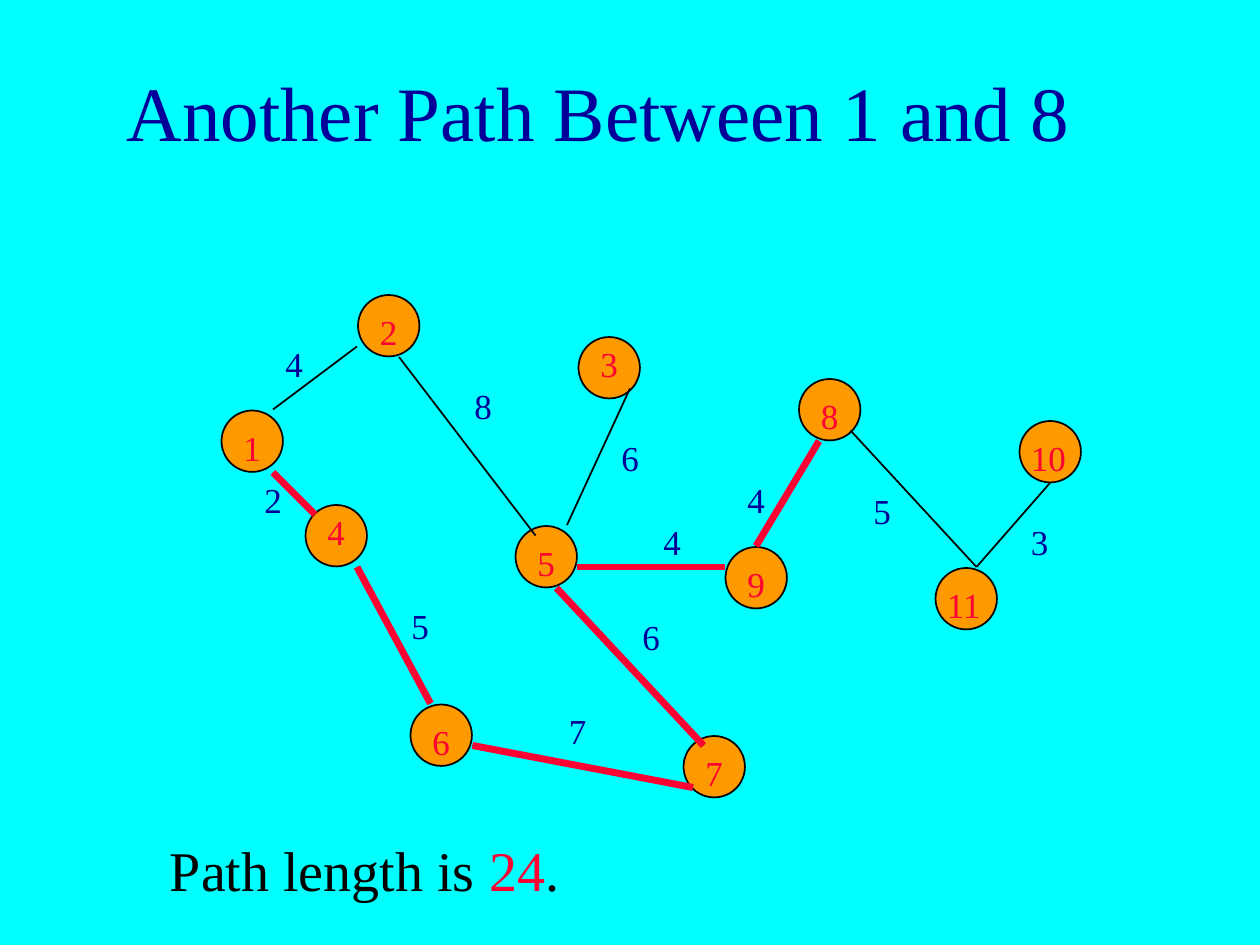
from dataclasses import dataclass
from itertools import pairwise

from pptx import Presentation
from pptx import util as u
from pptx.dml.color import RGBColor
from pptx.enum import shapes, text
from pptx.oxml.ns import qn
from lxml import etree

CELL = u.Inches(1) / 12  # the slide is 120 columns by 90 rows


@dataclass(frozen=True)
class Theme:
    font: str = "Times New Roman"
    background: str = "00FFFF"
    blue: str = "000099"
    red: str = "FF0033"
    orange: str = "FF9900"
    black: str = "000000"
    title_size: int = 44
    label_size: int = 20
    caption_size: int = 32
    thin: int = 1
    thick: int = 4


@dataclass(frozen=True)
class Box:
    """A box in grid columns and rows."""
    left: float
    top: float
    width: float
    height: float

    def inner(self, column, row, width, height):
        return Box(self.left + column, self.top + row, width, height)

    def lengths(self):
        return [round(n * CELL) for n in (self.left, self.top, self.width, self.height)]


THEME = Theme()
NODE_OFFSET, NODE_SIZE = 0.1, 5.85
LABEL_HEIGHT = 5.2

# Node: column and row of its cell
NODES = {
    1: (0, 11), 2: (13, 0), 3: (34, 4), 8: (55, 8), 10: (76, 12), 4: (8, 20),
    5: (28, 22), 9: (48, 24), 11: (68, 26), 6: (18, 39), 7: (44, 42),
}
# Node: label column offset, row offset and width, where not the usual (1, 1, 3)
LABEL_EXCEPTIONS = {3: (1, 0, 3), 4: (1, 0, 3), 10: (0, 1, 6), 11: (0, 1, 10)}
# Pair of nodes: line start, line end, weight, weight position
EDGES = {
    (1, 2): ((13, 5), (5, 11), 4, (5, 4)),
    (2, 5): ((17, 6), (30, 23), 8, (23, 8)),
    (1, 4): ((5, 17), (9, 21), 2, (3, 17)),
    (4, 6): ((13, 26), (20, 39), 5, (17, 29)),
    (6, 7): ((24, 43), (45, 47), 7, (32, 39)),
    (3, 5): ((39, 9), (33, 22), 6, (37, 13)),
    (5, 7): ((32, 28), (46, 43), 6, (39, 30)),
    (8, 9): ((57, 14), (51, 24), 4, (49, 17)),
    (8, 11): ((60, 13), (72, 26), 5, (61, 18)),
    (10, 11): ((72, 26), (79, 18), 3, (76, 21)),
    (5, 9): ((34, 26), (48, 26), 4, (41, 21)),
}
PATH = [1, 4, 6, 7, 5, 9, 8]


def add_text(parent, box, runs, size):
    """Add a text box of one paragraph; runs are (wording, colour) pairs."""
    shape = parent.add_textbox(*box.lengths())
    frame = shape.text_frame
    frame.word_wrap = True
    paragraph = frame.paragraphs[0]
    for wording, colour in runs:
        run = paragraph.add_run()
        run.text = wording
        run.font.name = THEME.font
        run.font.size = u.Pt(size)
        run.font.color.rgb = RGBColor.from_string(colour)
    return shape


def add_label(parent, box, runs, size):
    """Add left-aligned text whose box grows with it."""
    frame = add_text(parent, box, runs, size).text_frame
    frame.auto_size = text.MSO_AUTO_SIZE.SHAPE_TO_FIT_TEXT
    frame.paragraphs[0].space_before = u.Pt(size * 0.625)


def add_title(slide, box, wording):
    shape = add_text(slide.shapes, box, [(wording, THEME.blue)], THEME.title_size)
    shape.text_frame.vertical_anchor = text.MSO_ANCHOR.MIDDLE
    shape.text_frame.paragraphs[0].alignment = text.PP_ALIGN.CENTER


def add_node(parent, box):
    shape = parent.add_shape(shapes.MSO_SHAPE.OVAL, *box.lengths())
    shape.shadow.inherit = False
    shape.fill.solid()
    shape.fill.fore_color.rgb = RGBColor.from_string(THEME.orange)
    shape.line.color.rgb = RGBColor.from_string(THEME.black)
    shape.line.width = u.Pt(THEME.thin)


def add_edge(parent, box, start, end, colour, width):
    ends = [round(n * CELL) for x, y in (start, end)
            for n in (box.left + x, box.top + y)]
    line = parent.add_connector(shapes.MSO_CONNECTOR.STRAIGHT, *ends)
    line.line.color.rgb = RGBColor.from_string(colour)
    line.line.width = u.Pt(width)
    etree.SubElement(line._element.spPr, qn("a:effectLst"))


def add_graph(slide, box):
    """Group the nodes, edges, node numbers and edge weights."""
    parent = slide.shapes.add_group_shape().shapes
    for column, row in NODES.values():
        add_node(parent, box.inner(column + NODE_OFFSET, row + NODE_OFFSET,
                                   NODE_SIZE, NODE_SIZE))
    for start, end, _, _ in EDGES.values():
        add_edge(parent, box, start, end, THEME.black, THEME.thin)
    for node, (column, row) in NODES.items():
        right, down, width = LABEL_EXCEPTIONS.get(node, (1, 1, 3))
        add_label(parent, box.inner(column + right, row + down, width, LABEL_HEIGHT),
                  [(str(node), THEME.red)], THEME.label_size)
    for _, _, weight, position in EDGES.values():
        add_label(parent, box.inner(*position, 4, LABEL_HEIGHT),
                  [(str(weight), THEME.blue)], THEME.label_size)


def add_path(slide, box):
    """Draw the edges of the path thick, over the graph."""
    for pair in pairwise(PATH):
        start, end, _, _ = EDGES[tuple(sorted(pair))]
        add_edge(slide.shapes, box, start, end, THEME.red, THEME.thick)


def add_caption(slide, box):
    runs = [("Path length is ", THEME.black), ("24", THEME.red), (".", THEME.black)]
    add_label(slide.shapes, box, runs, THEME.caption_size)


def main():
    presentation = Presentation()
    presentation.slide_width = u.Inches(10)
    presentation.slide_height = u.Inches(7.5)
    slide = presentation.slides.add_slide(presentation.slide_layouts[6])
    slide.background.fill.solid()
    slide.background.fill.fore_color.rgb = RGBColor.from_string(THEME.background)

    graph_box = Box(21, 28, 82, 48)
    add_title(slide, Box(6, 3, 102, 15), "Another Path Between 1 and 8")
    add_graph(slide, graph_box)
    add_path(slide, graph_box)
    add_caption(slide, Box(15, 79, 87, 7.6))
    presentation.save("out.pptx")


if __name__ == "__main__":
    main()
